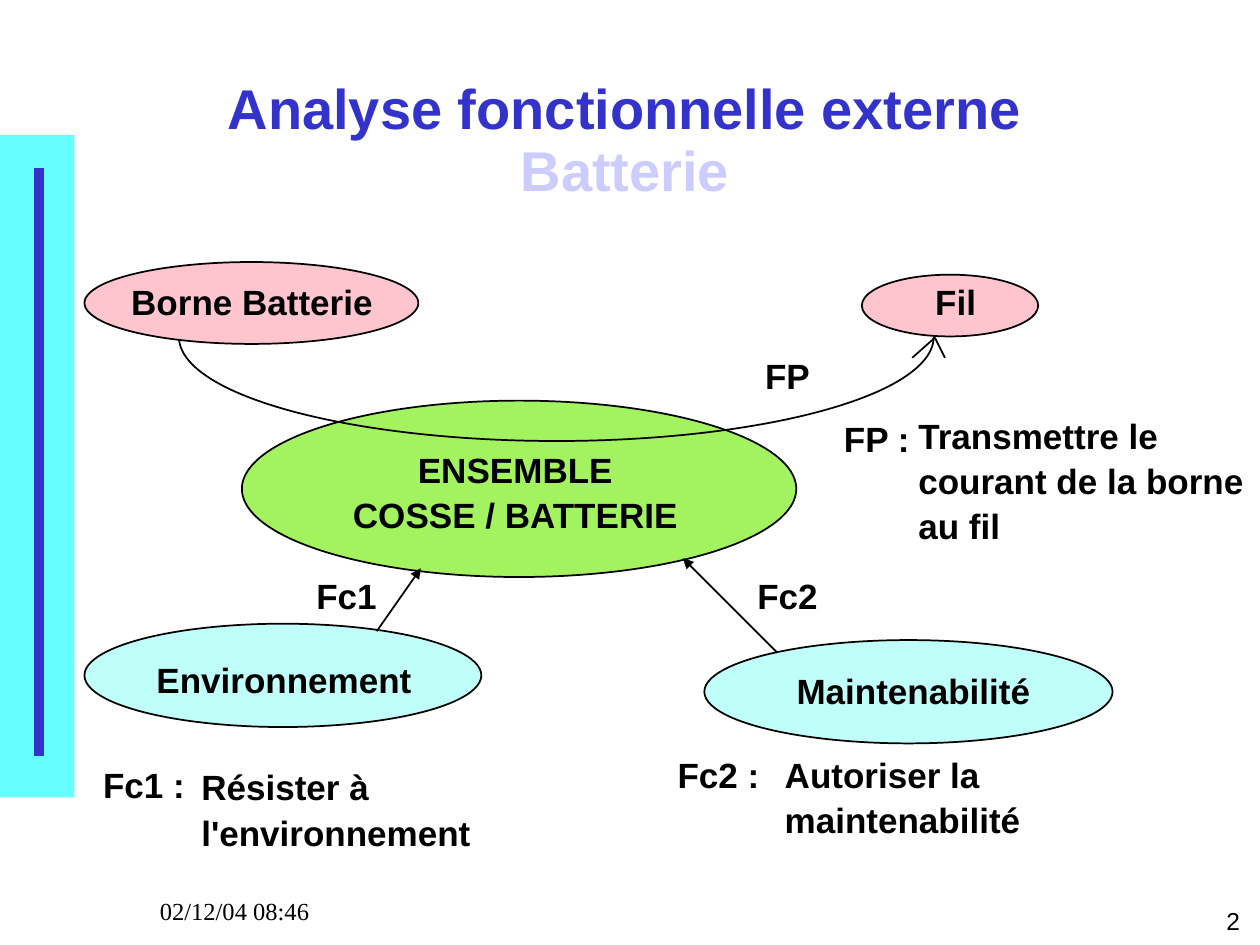
from lxml import etree
from pptx import Presentation
from pptx.dml.color import RGBColor
from pptx.enum.shapes import MSO_CONNECTOR, MSO_SHAPE
from pptx.enum.text import MSO_ANCHOR, PP_ALIGN
from pptx.oxml.ns import qn
from pptx.util import Inches, Pt

OVAL, RECT, ARC = MSO_SHAPE.OVAL, MSO_SHAPE.RECTANGLE, MSO_SHAPE.ARC
STRAIGHT = MSO_CONNECTOR.STRAIGHT
LEFT, CENTER, RIGHT = PP_ALIGN.LEFT, PP_ALIGN.CENTER, PP_ALIGN.RIGHT
TOP, MIDDLE = MSO_ANCHOR.TOP, MSO_ANCHOR.MIDDLE
BLACK, BLUE, LAVENDER, CYAN = "000000", "3333CC", "CCCCFF", "66FFFF"
GREEN, PALE, PINK = "A3F25F", "C0FEF9", "FFC5CF"
HALF_TURN = 108


def rgb(value):
    """Turn a hex string into a colour."""
    return RGBColor.from_string(value)


def add_shape(s, kind, box, fill=None, line=None):
    """Add a preset shape with an optional fill and outline."""
    sp = s.shapes.add_shape(kind, *map(Inches, box))
    sp.shadow.inherit = False
    if fill:
        sp.fill.solid()
        sp.fill.fore_color.rgb = rgb(fill)
    else:
        sp.fill.background()
    if line:
        sp.line.color.rgb = rgb(line)
        sp.line.width = Pt(1)
    else:
        sp.line.fill.background()
    return sp


def add_line(s, start, end, color=BLACK, width=1, arrow=False):
    """Add a straight line, with an arrowhead at its start if asked."""
    c = s.shapes.add_connector(STRAIGHT, *map(Inches, start + end))
    c.line.color.rgb = rgb(color)
    c.line.width = Pt(width)
    pr = c._element.spPr
    if arrow:
        etree.SubElement(c.line._get_or_add_ln(), qn("a:headEnd"), type="triangle")
    etree.SubElement(pr, qn("a:effectLst"))


def add_run(p, text, size, color, font, bold):
    """Append one formatted run to a paragraph."""
    r = p.add_run()
    r.text = text
    r.font.size = Pt(size)
    r.font.name = font
    r.font.bold = bold
    r.font.color.rgb = rgb(color)


def add_text(s, box, lines, align=CENTER, size=20, font="Arial", bold=True, wrap=False):
    """Add a text box with one paragraph per line."""
    tf = s.shapes.add_textbox(*map(Inches, box)).text_frame
    tf.word_wrap = wrap
    tf.vertical_anchor = TOP
    for i, text in enumerate(lines):
        p = tf.add_paragraph() if i else tf.paragraphs[0]
        p.alignment = align
        p.line_spacing = 1.06 if i else 0.93
        add_run(p, text, size, BLACK, font, bold)


def add_title(s, box, first, second):
    """Add the two-colour title on two lines."""
    tf = s.shapes.add_textbox(*map(Inches, box)).text_frame
    tf.word_wrap = True
    tf.vertical_anchor = MIDDLE
    p = tf.paragraphs[0]
    p.alignment = CENTER
    p.line_spacing = 0.93
    add_run(p, first, 32, BLUE, "Arial", True)
    p.add_line_break()
    add_run(p, second, 32, LAVENDER, "Arial", True)


def add_node(s, box, fill, text_box, lines):
    """Add an outlined ellipse and its label."""
    add_shape(s, OVAL, box, fill, BLACK)
    add_text(s, text_box, lines)


def add_definition(s, key, key_at, lines, box):
    """Add a function name and its description beside it."""
    add_text(s, key_at + (0.93, 0.41), [key], LEFT, wrap=True)
    add_text(s, box, lines, LEFT)


def add_frame(s):
    """Add the side band, the date and the slide number."""
    add_shape(s, RECT, (0, 1.07, 0.59, 5.26), CYAN)
    add_line(s, (0.31, 1.33), (0.31, 6), BLUE, 6)
    add_text(s, (7.86, 7.16, 2.08, 0.32), ["2"], RIGHT, 14, bold=False, wrap=True)
    add_text(s, (1.17, 7.08, 2.08, 0.32), ["02/12/04 08:46"], LEFT, 14,
             "Times New Roman", False, True)


def main():
    """Build the slide and save it."""
    prs = Presentation()
    prs.slide_width, prs.slide_height = Inches(10), Inches(7.5)
    s = prs.slides.add_slide(prs.slide_layouts[6])
    add_frame(s)
    add_title(s, (0.42, 0.56, 9.08, 1.13), "Analyse fonctionnelle externe", "Batterie")

    nodes = [
        ((1.92, 3.18, 4.4, 1.4), GREEN, (2.69, 3.54, 2.8, 0.75),
         ["ENSEMBLE", "COSSE / BATTERIE"]),
        ((0.67, 4.95, 3.15, 0.82), PALE, (1.14, 5.21, 2.23, 0.41), ["Environnement"]),
        ((5.59, 5.08, 3.24, 0.82), PALE, (6.22, 5.29, 2.06, 0.41), ["Maintenabilité"]),
    ]
    for node in nodes:
        add_node(s, *node)

    link = add_shape(s, ARC, (1.42, 1.85, 5.99, 1.65), line=BLACK)
    link.adjustments[0], link.adjustments[1] = 0, HALF_TURN
    add_node(s, (0.67, 2.08, 2.65, 0.65), PINK, (0.94, 2.21, 2.12, 0.41), ["Borne Batterie"])
    add_node(s, (6.84, 2.18, 1.4, 0.49), PINK, (7.32, 2.21, 0.53, 0.41), ["Fil"])

    for end in ((7.24, 2.84), (7.5, 2.84)):
        add_line(s, (7.42, 2.68), end)
    add_line(s, (3.34, 4.51), (2.99, 5.01), arrow=True)
    add_line(s, (5.42, 4.43), (6.17, 5.18), arrow=True)

    for text, x, y, w in (("FP", 5.97, 2.79, 0.56), ("Fc1", 2.41, 4.54, 0.68),
                          ("Fc2", 5.91, 4.54, 0.68)):
        add_text(s, (x, y, w, 0.41), [text])

    add_definition(s, "FP :", (6.6, 3.29),
                   ["Transmettre le", "courant de la borne", "au fil"],
                   (7.19, 3.27, 2.79, 1.08))
    add_definition(s, "Fc1 :", (0.72, 6.04), ["Résister à", "l'environnement"],
                   (1.5, 6.06, 2.34, 0.75))
    add_definition(s, "Fc2 :", (5.28, 5.96), ["Autoriser la", "maintenabilité"],
                   (6.13, 5.96, 2.07, 0.75))
    prs.save("out.pptx")


if __name__ == "__main__":
    main()
